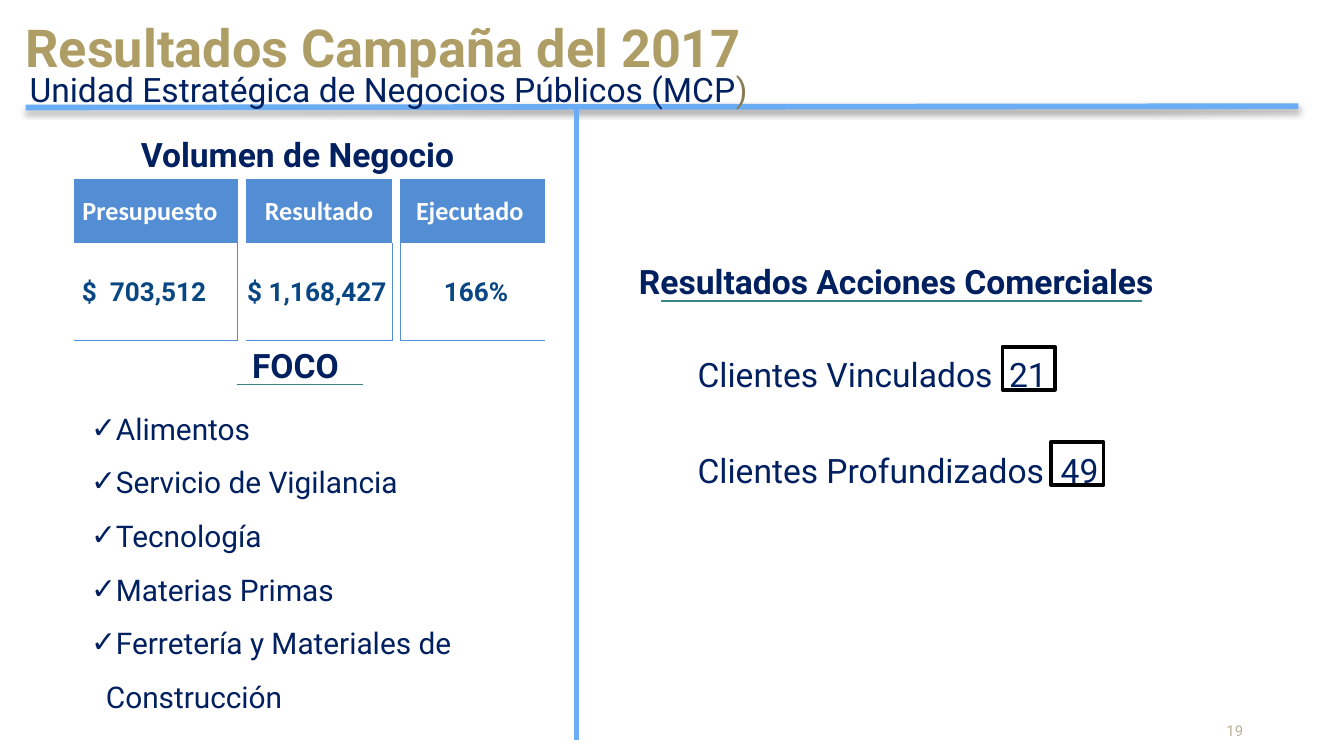
from lxml import etree
from pptx import Presentation
from pptx.dml.color import RGBColor
from pptx.enum.shapes import MSO_CONNECTOR, MSO_SHAPE
from pptx.enum.text import MSO_ANCHOR, PP_ALIGN
from pptx.oxml import parse_xml
from pptx.oxml.ns import nsdecls, qn
from pptx.util import Inches, Pt

NAVY = RGBColor(0x00, 0x20, 0x60)
GOLD = RGBColor(0xAF, 0x9D, 0x66)
DARK_GOLD = RGBColor(0x89, 0x7C, 0x57)
PALE_GOLD = RGBColor(0xBC, 0xB2, 0x96)
SKY = RGBColor(0x6B, 0xAD, 0xF5)
TEAL = RGBColor(0x39, 0x85, 0x88)
BLUE = RGBColor(0x53, 0x8E, 0xD5)
DEEP_BLUE = RGBColor(0x09, 0x47, 0x84)
WHITE = RGBColor(0xFF, 0xFF, 0xFF)
BLACK = RGBColor(0, 0, 0)

# Widescreen 16:9 slide
prs = Presentation()
prs.slide_width, prs.slide_height = Inches(10), Inches(10) * 9 // 16
s = prs.slides.add_slide(prs.slide_layouts[5])


def write(sp, box, lines, size, color, bold=False, align=PP_ALIGN.LEFT, spacing=1.2,
          anchor=MSO_ANCHOR.TOP, wrap=True, inset=(0, 0)):
    """Place a text shape and fill it with one paragraph per line."""
    sp.left, sp.top, sp.width, sp.height = map(Inches, box)
    tf = sp.text_frame
    tf.word_wrap, tf.vertical_anchor = wrap, anchor
    tf.margin_left = tf.margin_right = Inches(inset[0])
    tf.margin_top = tf.margin_bottom = Inches(inset[1])
    for i, line in enumerate(lines):
        p = tf.paragraphs[0] if i == 0 else tf.add_paragraph()
        p.alignment, p.line_spacing = align, spacing
        r = p.add_run()
        r.text = line
        r.font.color.rgb = color
        for name, value in dict(name="Roboto", size=Pt(size), bold=bold).items():
            setattr(r.font, name, value)
    return tf


def add_line(x1, y1, x2, y2, color, width):
    """Draw a straight line and return its empty effect list."""
    cx = s.shapes.add_connector(MSO_CONNECTOR.STRAIGHT, *map(Inches, (x1, y1, x2, y2)))
    cx.line.color.rgb, cx.line.width = color, Pt(width)
    return etree.SubElement(cx._element.spPr, qn("a:effectLst"))


# Title and slide number
write(s.shapes.title, (0.19, 0.02, 5.66, 0.57), ["Resultados Campaña del 2017"],
      28, GOLD, bold=True, wrap=False)
write(s.shapes.add_textbox(0, 0, 0, 0), (8.93, 5.37, 0.32, 0.13), ["19"], 8, PALE_GOLD,
      align=PP_ALIGN.RIGHT, spacing=1.0, anchor=MSO_ANCHOR.BOTTOM)

# Header rule with a soft shadow, and column divider
effects = add_line(0.19, 0.8, 9.66, 0.79, SKY, 3)
effects.append(parse_xml(
    f'<a:outerShdw {nsdecls("a")} blurRad="{Pt(3.1)}" dist="{Pt(1.8)}" dir="5400000">'
    '<a:srgbClr val="000000"><a:alpha val="35000"/></a:srgbClr></a:outerShdw>'))
add_line(4.29, 0.78, 4.29, 5.51, SKY, 3)

# Subtitle, with its closing bracket in gold
tf = write(s.shapes.add_textbox(0, 0, 0, 0), (0.22, 0.45, 5.77, 0.36),
           ["Unidad Estratégica de Negocios Públicos (MCP"], 18, NAVY)
r = tf.paragraphs[0].add_run()
r.text = ")"
r.font.name, r.font.size, r.font.color.rgb = "Roboto", Pt(18), DARK_GOLD

# Section headings and their underlines
for text, box, wrap, spacing, inset in [
    ("Volumen de Negocio ", (0.74, 0.94, 3.01, 0.36), True, 1.2, (0, 0)),
    ("FOCO ", (1.73, 2.52, 1, 0.4), False, 1.0, (0.1, 0.05)),
    ("Resultados Acciones Comerciales", (4.01, 1.88, 5.32, 0.73), True, 1.2, (0, 0)),
]:
    write(s.shapes.add_textbox(0, 0, 0, 0), box, [text], 18, NAVY, bold=True,
          align=PP_ALIGN.CENTER, spacing=spacing, wrap=wrap, inset=inset)
add_line(4.92, 2.24, 8.5, 2.24, TEAL, 0.75)
add_line(1.76, 2.86, 2.7, 2.86, TEAL, 0.75)

# Business volume table: three columns parted by narrow gaps
table = s.shapes.add_table(2, 5, Inches(0.55), Inches(1.33), Inches(3.49), Inches(1.2)).table
table.first_row = table.horz_banding = False
table._tbl.tblPr.find(qn("a:tableStyleId")).text = "{2D5ABB26-0587-4C30-8999-92F81FD0307C}"
for col, width in zip(table.columns, (1.22, 0.05, 1.09, 0.05, 1.08)):
    col.width = Inches(width)
for row, height in zip(table.rows, (0.48, 0.72)):
    row.height = Inches(height)
rows = [("Presupuesto  ", "", "Resultado", "", "Ejecutado "),
        (" $  703,512", "", "$ 1,168,427", "", " 166%")]
sides = ("RB", "", "RB", "", "LB")
for i, texts in enumerate(rows):
    for j, text in enumerate(texts):
        cell = table.cell(i, j)
        cell.margin_left = cell.margin_right = cell.margin_top = Inches(0.01)
        cell.margin_bottom = 0
        cell.vertical_anchor = MSO_ANCHOR.MIDDLE
        if i == 1:
            for side in sides[j]:
                cell._tc.get_or_add_tcPr().append(parse_xml(
                    f'<a:ln{side} {nsdecls("a")} w="{Pt(0.5)}"><a:solidFill>'
                    f'<a:srgbClr val="{BLUE}"/></a:solidFill></a:ln{side}>'))
        if i == 0 and text:
            cell.fill.solid()
            cell.fill.fore_color.rgb = BLUE
        else:
            cell.fill.background()
        if text:
            p = cell.text_frame.paragraphs[0]
            p.alignment = PP_ALIGN.CENTER if i == 0 or j == 4 else PP_ALIGN.LEFT
            r = p.add_run()
            r.text = text
            r.font.name = "Roboto" if i else "Calibri"
            r.font.size, r.font.bold = Pt(14), True
            r.font.color.rgb = DEEP_BLUE if i else WHITE

# Focus sectors: the last line continues the fifth bullet
tf = write(s.shapes.add_textbox(0, 0, 0, 0), (0.58, 2.87, 3.49, 3.06),
           ["Alimentos ", "Servicio de Vigilancia", "Tecnología ", "Materias Primas",
            "Ferretería y Materiales de", "Construcción"],
           16, NAVY, align=PP_ALIGN.JUSTIFY, spacing=1.5, inset=(0.1, 0.05))
for p in tf.paragraphs[:-1]:
    pPr = p._p.get_or_add_pPr()
    pPr.set("marL", str(Inches(0.18)))
    pPr.set("indent", str(Inches(-0.18)))
    etree.SubElement(pPr, qn("a:buFont")).set("typeface", "Roboto")
    etree.SubElement(pPr, qn("a:buChar")).set("char", "✓")
tf.paragraphs[-1]._p.get_or_add_pPr().set("marL", str(Inches(0.11)))

# Client counts, each number framed
for left, top in ((7.46, 2.58), (7.82, 3.29)):
    sp = s.shapes.add_shape(MSO_SHAPE.RECTANGLE, *map(Inches, (left, top, 0.39, 0.32)))
    sp.shadow.inherit = False
    sp.fill.solid()
    sp.fill.fore_color.rgb = WHITE
    sp.line.color.rgb, sp.line.width = BLACK, Pt(2)
tf = write(s.shapes.add_textbox(0, 0, 0, 0), (5.19, 2.57, 5.32, 1.09),
           ["Clientes Vinculados  21", "Clientes Profundizados  49"], 18, NAVY)
tf.paragraphs[1].space_before = Pt(26)

prs.save("out.pptx")
